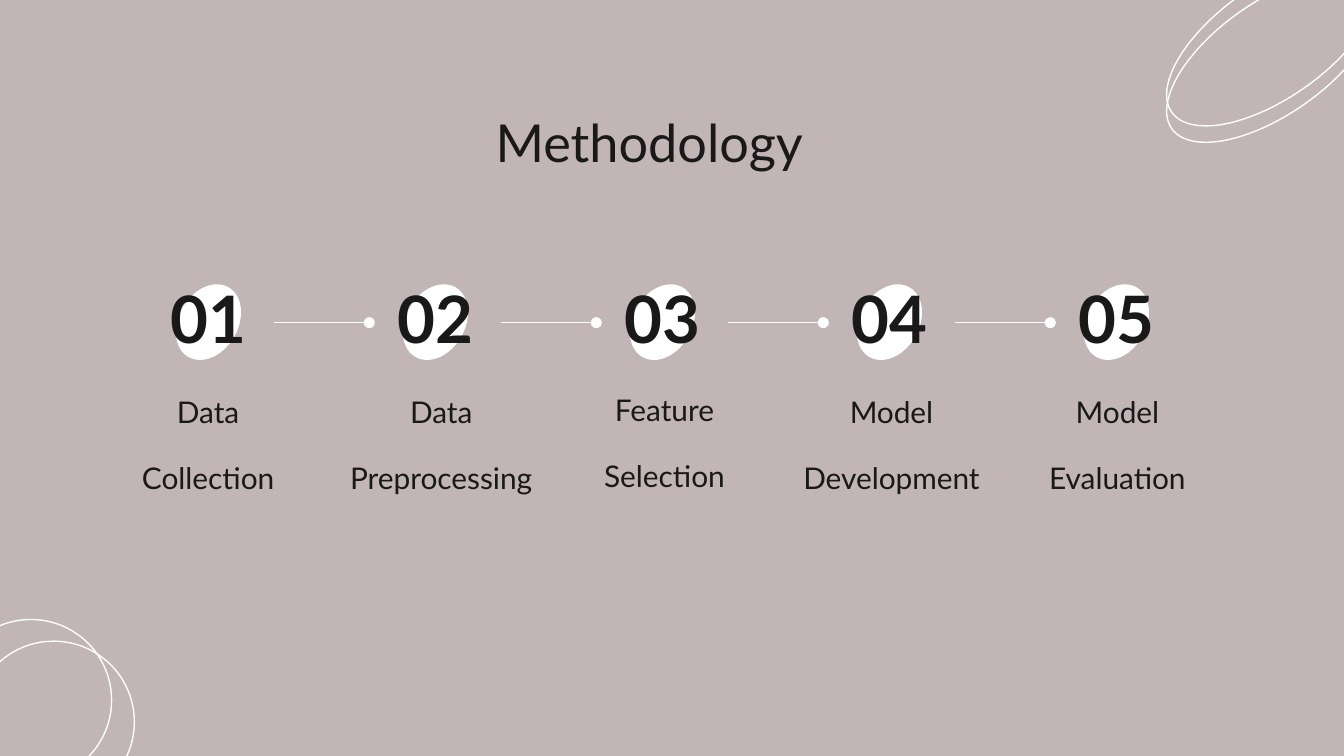
from dataclasses import dataclass

from lxml import etree
from pptx import Presentation
from pptx import util as u
from pptx.dml.color import RGBColor
from pptx.enum import shapes, text
from pptx.oxml.ns import qn


@dataclass(frozen=True)
class Theme:
    background: RGBColor = RGBColor(0xC1, 0xB5, 0xB5)
    ink: RGBColor = RGBColor(0x19, 0x19, 0x19)
    accent: RGBColor = RGBColor(0xFF, 0xFF, 0xFF)
    font: str = "Lato"
    heading: int = 28
    number: int = 35
    label: int = 16
    line: float = 0.75


class Painter:
    """Holds the theme and the slide being drawn; lengths are in cm."""

    def __init__(self, theme, slide):
        self.theme = theme
        self.slide = slide
        slide.background.fill.solid()
        slide.background.fill.fore_color.rgb = theme.background

    def ellipse(self, left, top, width, height, rotation=0, filled=False):
        oval = self.slide.shapes.add_shape(
            shapes.MSO_SHAPE.OVAL, u.Cm(left), u.Cm(top), u.Cm(width), u.Cm(height))
        oval.rotation = rotation
        oval.shadow.inherit = False
        if filled:
            oval.fill.solid()
            oval.fill.fore_color.rgb = self.theme.accent
            oval.line.fill.background()
        else:
            oval.fill.background()
            oval.line.color.rgb = self.theme.accent
            oval.line.width = u.Pt(self.theme.line)

    def text(self, lines, left, top, width, height, size, bold=False,
             align=text.PP_ALIGN.CENTER, anchor=text.MSO_ANCHOR.TOP,
             spacing=None, after=0):
        box = self.slide.shapes.add_textbox(
            u.Cm(left), u.Cm(top), u.Cm(width), u.Cm(height))
        frame = box.text_frame
        frame.word_wrap = True
        frame.vertical_anchor = anchor
        frame.margin_left = frame.margin_right = u.Cm(0.25)
        frame.margin_top = frame.margin_bottom = u.Cm(0.25)
        for index, line in enumerate(lines):
            paragraph = frame.add_paragraph() if index else frame.paragraphs[0]
            paragraph.alignment = align
            paragraph.space_after = u.Pt(after)
            if spacing:
                paragraph.line_spacing = spacing
            run = paragraph.add_run()
            run.text = line
            run.font.name = self.theme.font
            run.font.size = u.Pt(size)
            run.font.bold = bold
            run.font.color.rgb = self.theme.ink

    def link(self, start, end, y):
        link = self.slide.shapes.add_connector(
            shapes.MSO_CONNECTOR.ELBOW, u.Cm(start), u.Cm(y), u.Cm(end), u.Cm(y))
        link.line.color.rgb = self.theme.accent
        link.line.width = u.Pt(self.theme.line)
        # Round end, no shadow
        etree.SubElement(link.line._get_or_add_ln(), qn("a:tailEnd"), type="oval")
        etree.SubElement(link._element.spPr, qn("a:effectLst"))


# Step label lines, then the left, top and width of the label
STEPS = [
    (("Data", "Collection"), 1.93, 7.19, 4.01),
    (("Data", "Preprocessing"), 6.22, 7.19, 4.24),
    (("Feature", "Selection"), 10.44, 7.16, 4.24),
    (("Model", "Development"), 14.73, 7.19, 4.24),
    (("Model", "Evaluation"), 19.0, 7.19, 4.24),
]
FIRST_LEFT, NUMBER_WIDTH, GAP = 2.69, 2.49, 1.8


def main():
    deck = Presentation()
    deck.slide_width, deck.slide_height = u.Cm(25.4), u.Cm(14.29)
    theme = Theme()
    painter = Painter(theme, deck.slides.add_slide(deck.slide_layouts[6]))

    # Corner outlines
    for top in (0.03, -0.28):
        painter.ellipse(21.72, top, 4.65, 2.13, rotation=144.9)
    for left, top in ((-0.94, 11.71), (-0.51, 12.12)):
        painter.ellipse(left, top, 3.05, 3.05)

    # Heading
    painter.text(["Methodology"], 9.12, 1.96, 7.85, 1.6, theme.heading,
                 align=text.PP_ALIGN.LEFT, spacing=0.9)

    # Numbered steps, each linked to the next
    for index, (label, label_left, label_top, label_width) in enumerate(STEPS):
        left = FIRST_LEFT + index * (NUMBER_WIDTH + GAP)
        right = left + NUMBER_WIDTH
        painter.ellipse(left + 0.69, 5.33, 1.12, 1.52, rotation=30, filled=True)
        painter.text([f"{index + 1:02}"], left, 5.41, NUMBER_WIDTH, 1.35, theme.number,
                     bold=True, anchor=text.MSO_ANCHOR.MIDDLE, spacing=0.9)
        painter.text(label, label_left, label_top, label_width, 2.11, theme.label, after=16)
        if index < len(STEPS) - 1:
            painter.link(right, right + GAP, 6.1)

    deck.save("out.pptx")


if __name__ == "__main__":
    main()
